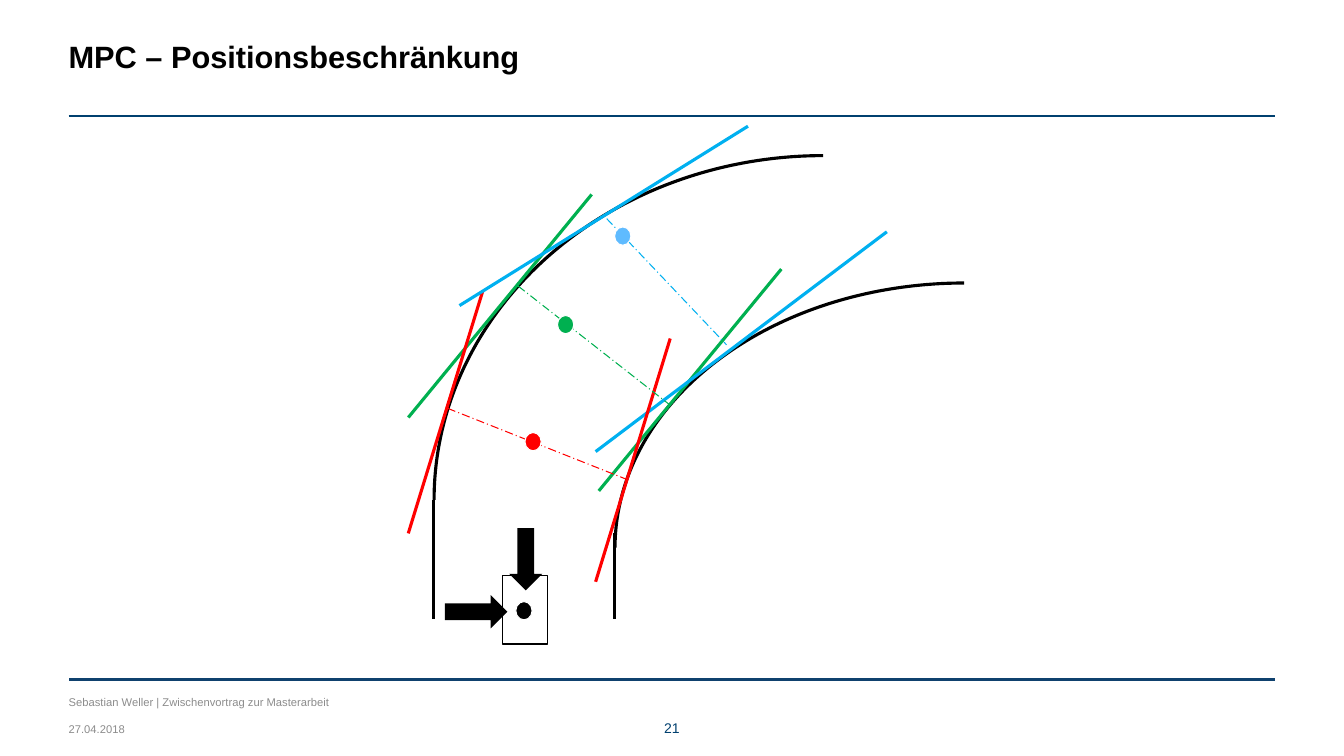
from dataclasses import dataclass
from typing import Optional

from lxml import etree
from pptx import Presentation
from pptx.dml.color import RGBColor
from pptx.enum.dml import MSO_LINE
from pptx.enum.shapes import MSO_CONNECTOR, MSO_SHAPE
from pptx.enum.text import MSO_ANCHOR, MSO_AUTO_SIZE, PP_ALIGN
from pptx.oxml.ns import qn
from pptx.util import Cm, Pt

STRAIGHT = MSO_CONNECTOR.STRAIGHT
ARC, DOT, BOX, ARROW = MSO_SHAPE.ARC, MSO_SHAPE.OVAL, MSO_SHAPE.RECTANGLE, MSO_SHAPE.DOWN_ARROW
DASH_DOT = MSO_LINE.LONG_DASH_DOT
LEFT, CENTER, TOP = PP_ALIGN.LEFT, PP_ALIGN.CENTER, MSO_ANCHOR.TOP
NO_AUTOSIZE = MSO_AUTO_SIZE.NONE
TITLE_ONLY = 5


@dataclass(frozen=True)
class Theme:
    font: str = "Arial"
    black: str = "000000"
    white: str = "FFFFFF"
    grey: str = "8C8C8C"
    navy: str = "00406F"
    footer_navy: str = "0F416E"
    red: str = "FF0000"
    green: str = "00B050"
    blue: str = "00B0F0"
    light_blue: str = "5FBBFF"
    title_size: float = 22
    number_size: float = 10
    footer_size: float = 8
    thick: float = 2.25
    thin: float = 0.75


THEME = Theme()


@dataclass(frozen=True)
class Line:
    """End points in centimetres."""
    x1: float
    y1: float
    x2: float
    y2: float
    color: str
    width: float = THEME.thick
    dashed: bool = False


@dataclass(frozen=True)
class Figure:
    """Preset shape with its box in centimetres."""
    kind: MSO_SHAPE
    left: float
    top: float
    width: float
    height: float
    fill: Optional[str] = None
    line: Optional[str] = None
    line_width: float = THEME.thin
    rotation: float = 0


@dataclass(frozen=True)
class Label:
    text: str
    left: float
    top: float
    width: float
    height: float
    size: float
    color: str
    bold: bool = False
    align: PP_ALIGN = LEFT


def draw_line(slide, line: Line) -> None:
    connector = slide.shapes.add_connector(
        STRAIGHT, Cm(line.x1), Cm(line.y1), Cm(line.x2), Cm(line.y2))
    connector.line.color.rgb = RGBColor.from_string(line.color)
    connector.line.width = Pt(line.width)
    if line.dashed:
        connector.line.dash_style = DASH_DOT
    etree.SubElement(connector._element.spPr, qn("a:effectLst"))


def draw_figure(slide, figure: Figure) -> None:
    shape = slide.shapes.add_shape(
        figure.kind, Cm(figure.left), Cm(figure.top), Cm(figure.width), Cm(figure.height))
    shape.shadow.inherit = False
    shape.rotation = figure.rotation
    if figure.fill:
        shape.fill.solid()
        shape.fill.fore_color.rgb = RGBColor.from_string(figure.fill)
    else:
        shape.fill.background()
    if figure.line:
        shape.line.color.rgb = RGBColor.from_string(figure.line)
        shape.line.width = Pt(figure.line_width)
    else:
        shape.line.fill.background()


def write_label(shape, label: Label) -> None:
    shape.left, shape.top = Cm(label.left), Cm(label.top)
    shape.width, shape.height = Cm(label.width), Cm(label.height)
    frame = shape.text_frame
    frame.margin_left = frame.margin_right = frame.margin_top = frame.margin_bottom = 0
    frame.auto_size = NO_AUTOSIZE
    frame.word_wrap = True
    frame.vertical_anchor = TOP
    frame.text = label.text
    paragraph = frame.paragraphs[0]
    paragraph.alignment = label.align
    font = paragraph.runs[0].font
    font.name, font.size, font.bold = THEME.font, Pt(label.size), label.bold
    font.color.rgb = RGBColor.from_string(label.color)


def add_label(slide, label: Label) -> None:
    write_label(slide.shapes.add_textbox(0, 0, 0, 0), label)


def dot(left: float, top: float, color: str) -> Figure:
    return Figure(DOT, left, top, 0.41, 0.46, color, THEME.white)


def arrow(left: float, top: float, rotation: float = 0) -> Figure:
    return Figure(ARROW, left, top, 0.84, 1.57, THEME.black, rotation=rotation)


def track_arc(left: float, top: float, width: float, height: float) -> Figure:
    return Figure(ARC, left, top, width, height, line=THEME.black,
                  line_width=THEME.thick, rotation=270)


def normal(x1: float, y1: float, x2: float, y2: float, color: str) -> Line:
    return Line(x1, y1, x2, y2, color, THEME.thin, True)


TITLE = Label("MPC – Positionsbeschränkung", 1.73, 0.94, 30.4, 0.94,
              THEME.title_size, THEME.black, True)
FOOTER_LABELS = [
    Label("21", 16.13, 18.14, 1.6, 0.43, THEME.number_size, THEME.navy, align=CENTER),
    Label("27.04.2018", 1.73, 18.19, 7.9, 0.33, THEME.footer_size, THEME.grey),
    Label("Sebastian Weller | Zwischenvortrag zur Masterarbeit", 1.73, 17.53, 10.72, 0.33,
          THEME.footer_size, THEME.grey),
]
RULES = [
    Line(1.75, 17.12, 32.13, 17.12, THEME.footer_navy, 2.5),
    Line(1.73, 2.92, 32.13, 2.92, THEME.navy, 1),
]

# Diagram parts from back to front
TRACK_ARCS = [track_arc(17.63, 5, 13.34, 17.6), track_arc(12.07, 2.79, 17.35, 19.61)]
TRACK_EDGES = [
    Line(10.92, 12.6, 10.92, 15.6, THEME.black),
    Line(15.49, 13.44, 15.49, 15.6, THEME.black),
]
TANGENTS = [
    Line(15.09, 12.37, 19.69, 6.78, THEME.green),
    Line(15.01, 11.38, 22.35, 5.84, THEME.blue),
    Line(10.29, 10.52, 14.91, 4.9, THEME.green),
    Line(10.29, 13.44, 12.17, 7.32, THEME.red),
    Line(15.01, 14.66, 16.89, 8.53, THEME.red),
]
VEHICLE = Figure(BOX, 12.67, 14.5, 1.14, 1.73, line=THEME.black)
NORMALS = [
    normal(11.28, 10.29, 15.77, 12.07, THEME.red),
    normal(13.06, 7.21, 16.89, 10.21, THEME.green),
    normal(15.29, 5.51, 18.31, 8.69, THEME.blue),
]
OUTER_BLUE_TANGENT = Line(11.58, 7.7, 18.85, 3.18, THEME.blue)
POSITIONS = [
    dot(15.49, 5.72, THEME.light_blue),
    dot(13, 15.16, THEME.black),
    arrow(11.58, 14.63, 270),
    arrow(12.83, 13.31),
    dot(14.05, 7.95, THEME.green),
    dot(13.23, 10.9, THEME.red),
]


def main() -> None:
    presentation = Presentation()
    presentation.slide_width, presentation.slide_height = Cm(33.87), Cm(19.05)
    slide = presentation.slides.add_slide(presentation.slide_layouts[TITLE_ONLY])

    # Frame: title, rules and footer
    write_label(slide.shapes.title, TITLE)
    for rule in RULES:
        draw_line(slide, rule)
    for label in FOOTER_LABELS:
        add_label(slide, label)

    # Track with tangents, normals and positions
    diagram = [*TRACK_ARCS, *TRACK_EDGES, *TANGENTS, VEHICLE, *NORMALS,
               OUTER_BLUE_TANGENT, *POSITIONS]
    for part in diagram:
        if isinstance(part, Line):
            draw_line(slide, part)
        else:
            draw_figure(slide, part)

    presentation.save("out.pptx")


if __name__ == "__main__":
    main()
